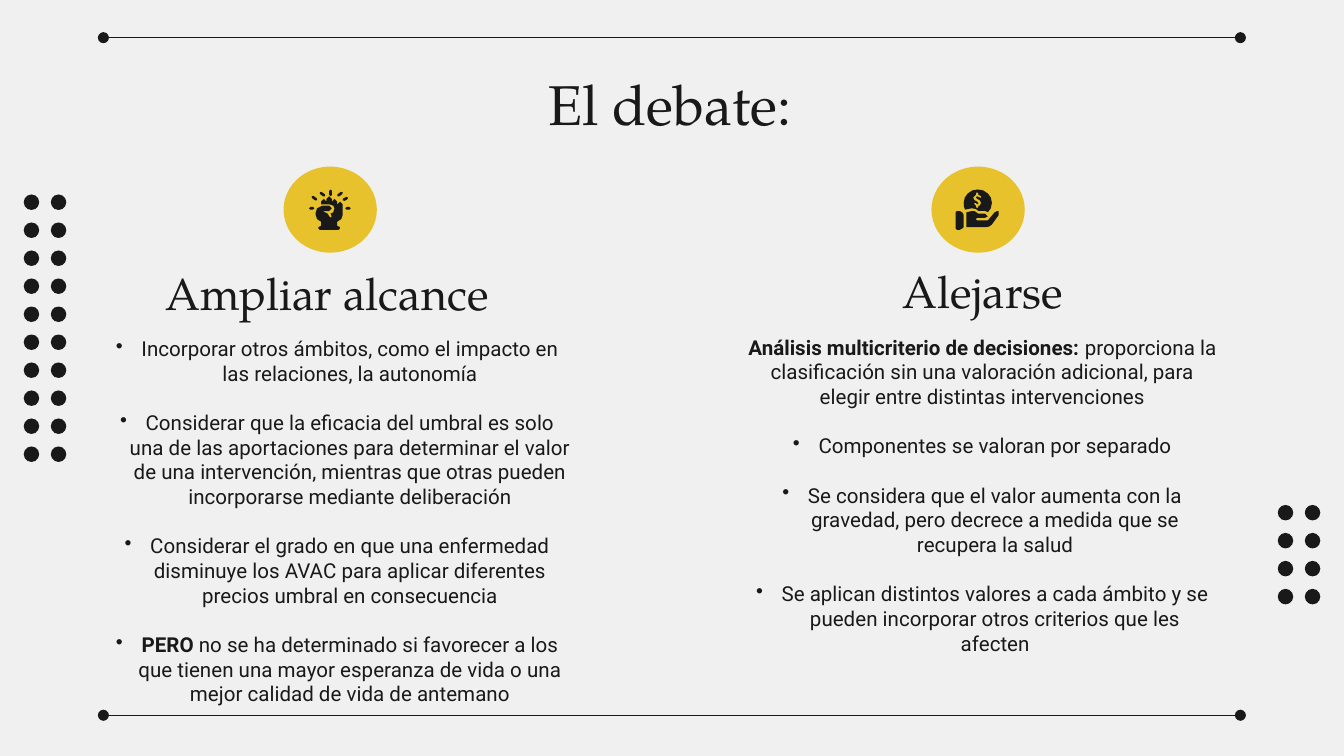
import math
from lxml import etree
from pptx import Presentation
from pptx import util as u
from pptx.dml.color import RGBColor
from pptx.enum import shapes as sh, text as tx
from pptx.oxml import ns

Pt = u.Pt
INK = RGBColor(0x19, 0x19, 0x19)
GOLD = RGBColor(0xE7, 0xC2, 0x2C)
PAPER = RGBColor(0xF0, 0xF0, 0xF0)
SERIF, SANS = "TeX Gyre Pagella", "Roboto"
UNIT = Pt(0.72)  # icon grid step

# Each item: (has bullet, [(text, bold), ...])
LEFT = [
    (True, [("Incorporar otros ámbitos, como el impacto en las relaciones, la autonomía", False)]),
    (True, [("Considerar que la eficacia del umbral es solo una de las aportaciones para "
             "determinar el valor de una intervención, mientras que otras pueden "
             "incorporarse mediante deliberación", False)]),
    (True, [("Considerar el grado en que una enfermedad disminuye los AVAC para aplicar "
             "diferentes precios umbral en consecuencia", False)]),
    (True, [("PERO", True),
            (" no se ha determinado si favorecer a los que tienen una mayor esperanza "
             "de vida o una mejor calidad de vida de antemano", False)]),
]
RIGHT = [
    (False, [("Análisis multicriterio de decisiones: ", True),
             ("proporciona la clasificación sin una valoración adicional, para elegir "
              "entre distintas intervenciones", False)]),
    (True, [("Componentes se valoran por separado", False)]),
    (True, [("Se considera que el valor aumenta con la gravedad, pero decrece a medida "
             "que se recupera la salud", False)]),
    (True, [("Se aplican distintos valores a cada ámbito y se pueden incorporar otros "
             "criterios que les afecten", False)]),
]

# Icon outlines, in grid steps from the corner of their disc
FIST = [(34, 22), (32, 24), (32, 26), (30, 24), (28, 26), (28, 28), (34, 28), (37, 29),
        (38, 31), (37, 34), (35, 35), (36, 37), (35, 38), (34, 37), (33, 35), (29, 33),
        (34, 33), (36, 31), (34, 29), (29, 29), (25, 31), (24, 34), (24, 36), (25, 39),
        (28, 41), (28, 44), (26, 45), (26, 46), (27, 47), (41, 47), (42, 46), (42, 45),
        (40, 44), (40, 41), (43, 39), (44, 36), (44, 28), (42, 26), (40, 28), (40, 26),
        (38, 24), (36, 26), (36, 24)]
RAYS = [((35, 17), (35, 22)), ((44, 19), (40, 22)), ((46, 31), (50, 31)),
        ((19, 31), (23, 31)), ((27, 19), (31, 22)), ((21, 22), (25, 25)),
        ((44, 25), (48, 23))]
CUFF = [(19, 33), (21, 33), (23, 34), (24, 36), (24, 45), (23, 46), (21, 47), (19, 47),
        (18, 46), (18, 34)]
COIN = [(34.5, 17), (30.5, 17.7), (27, 20), (24.8, 23), (24, 27), (24.3, 30), (25, 32),
        (30, 31), (33, 31.5), (35, 33), (40, 33), (42, 34), (44.2, 31), (45, 27),
        (44.2, 23), (42, 20), (38.5, 17.7)]
DOLLAR = [(34, 19), (35, 20), (35, 21), (37, 22), (37, 23), (36, 23), (34, 22), (33, 23),
          (34, 24), (36, 25), (37, 27), (36, 29), (35, 29), (35, 30), (34, 31), (33, 30),
          (33, 29), (32, 28), (32, 27), (33, 27), (34, 28), (35, 27.5), (34, 26),
          (32, 25), (31, 23), (33, 21), (33, 20)]
PALM = [(30, 33), (26, 34), (26, 45), (40, 45), (43, 44.5), (45, 43), (50, 36), (50, 33),
        (49, 33), (47, 34), (42, 40), (41, 40), (34, 40), (33, 39), (34, 38), (40, 38),
        (42, 37), (40, 35), (35, 35), (32, 33)]


def paint(shape, fill):
    shape.fill.solid()
    shape.fill.fore_color.rgb = fill
    shape.line.fill.background()
    shape.shadow.inherit = False


def style(par, font, size):
    par.alignment = tx.PP_ALIGN.CENTER
    par.font.name = font
    par.font.size = Pt(size)
    par.font.bold = False
    par.font.color.rgb = INK


def frame(shape, anchor):
    box = shape.text_frame
    box.word_wrap = True
    box.auto_size = tx.MSO_AUTO_SIZE.NONE
    box.vertical_anchor = anchor
    box.margin_left = box.margin_right = Pt(7.2)
    box.margin_top = box.margin_bottom = Pt(7.2)
    return box


def title(slide, words):
    shape = slide.shapes.title
    shape.left, shape.top, shape.width, shape.height = Pt(55.4), Pt(30.2), Pt(607), Pt(54)
    par = frame(shape, tx.MSO_ANCHOR.TOP).paragraphs[0]
    par.text = words
    style(par, SERIF, 30)


def heading(slide, left, top, width, words):
    shape = slide.shapes.add_textbox(Pt(left), Pt(top), Pt(width), Pt(31))
    par = frame(shape, tx.MSO_ANCHOR.BOTTOM).paragraphs[0]
    par.text = words
    style(par, SERIF, 24)


def bullet(par):
    props = par._p.get_or_add_pPr()
    props.set("marL", str(Pt(13.7)))
    props.set("indent", str(-Pt(13.7)))
    color = etree.SubElement(props, ns.qn("a:buClr"))
    etree.SubElement(color, ns.qn("a:srgbClr")).set("val", str(INK))
    etree.SubElement(props, ns.qn("a:buChar")).set("char", "•")


def body(slide, left, top, height, items):
    shape = slide.shapes.add_textbox(Pt(left), Pt(top), Pt(265), Pt(height))
    box = frame(shape, tx.MSO_ANCHOR.TOP)
    for i, (dotted, runs) in enumerate(items):
        par = box.add_paragraph() if i else box.paragraphs[0]
        if dotted:
            bullet(par)
        if i:
            par.space_before = Pt(13.2)
        style(par, SANS, 11)
        for words, bold in runs:
            run = par.add_run()
            run.text = words
            if bold:
                run.font.bold = True


def rule(slide, y):
    line = slide.shapes.add_connector(sh.MSO_CONNECTOR.STRAIGHT, Pt(55.4), Pt(y), Pt(664.5), Pt(y))
    line.line.color.rgb = INK
    line.line.width = Pt(0.75)
    stroke = line.line._get_or_add_ln()
    for end in ("a:headEnd", "a:tailEnd"):
        etree.SubElement(stroke, ns.qn(end)).set("type", "oval")
    etree.SubElement(line._element.spPr, ns.qn("a:effectLst"))


def disc(group, left, top, width, height, fill):
    shape = group.shapes.add_shape(sh.MSO_SHAPE.OVAL, Pt(left), Pt(top), Pt(width), Pt(height))
    paint(shape, fill)


def dots(slide, left, top, rows):
    group = slide.shapes.add_group_shape()
    for row in range(rows):
        for col in range(2):
            disc(group, left + 14.5 * col, top + 15 * row, 8.3, 8.3, INK)


def ray(start, end):
    """Slim bar with pointed ends between two points."""
    (x, y), (x2, y2) = start, end
    size = math.hypot(x2 - x, y2 - y)
    dx, dy = (x2 - x) / size, (y2 - y) / size
    return [start, (x + dx - dy, y + dy + dx), (x2 - dx - dy, y2 - dy + dx),
            end, (x2 - dx + dy, y2 - dy - dx), (x + dx + dy, y + dy - dx)]


def icon(slide, left, top, parts):
    group = slide.shapes.add_group_shape()
    disc(group, left, top, 50, 46.1, GOLD)
    for loops in parts:
        # Finer pen steps keep fractions of the grid
        fine = [[(x * 100, y * 100) for x, y in loop] for loop in loops]
        pen = group.shapes.build_freeform(*fine[0][0], scale=UNIT / 100)
        pen.add_line_segments(fine[0][1:])
        for loop in fine[1:]:
            pen.move_to(*loop[0])
            pen.add_line_segments(loop[1:])
        paint(pen.convert_to_shape(Pt(left), Pt(top)), INK)


def main():
    deck = Presentation()
    deck.slide_width, deck.slide_height = Pt(720), Pt(405)
    slide = deck.slides.add_slide(deck.slide_layouts[5])
    slide.background.fill.solid()
    slide.background.fill.fore_color.rgb = PAPER

    # Text
    title(slide, "El debate:")
    body(slide, 393.8, 172.1, 201.6, RIGHT)
    body(slide, 48.2, 172.8, 173.5, LEFT)
    heading(slide, 375.8, 146.2, 301.7, "Alejarse")
    heading(slide, 34.6, 147.6, 287.3, "Ampliar alcance ")

    # Frame lines and dot grids
    for y in (20.2, 383.2):
        rule(slide, y)
    dots(slide, 12.7, 104.2, 10)
    dots(slide, 684.5, 270.5, 4)

    # Icons
    icon(slide, 499, 89.3, [[CUFF], [COIN, DOLLAR], [PALM]])
    icon(slide, 151.9, 89.3, [[ray(*ends)] for ends in RAYS] + [[FIST]])

    deck.save("out.pptx")


if __name__ == "__main__":
    main()
